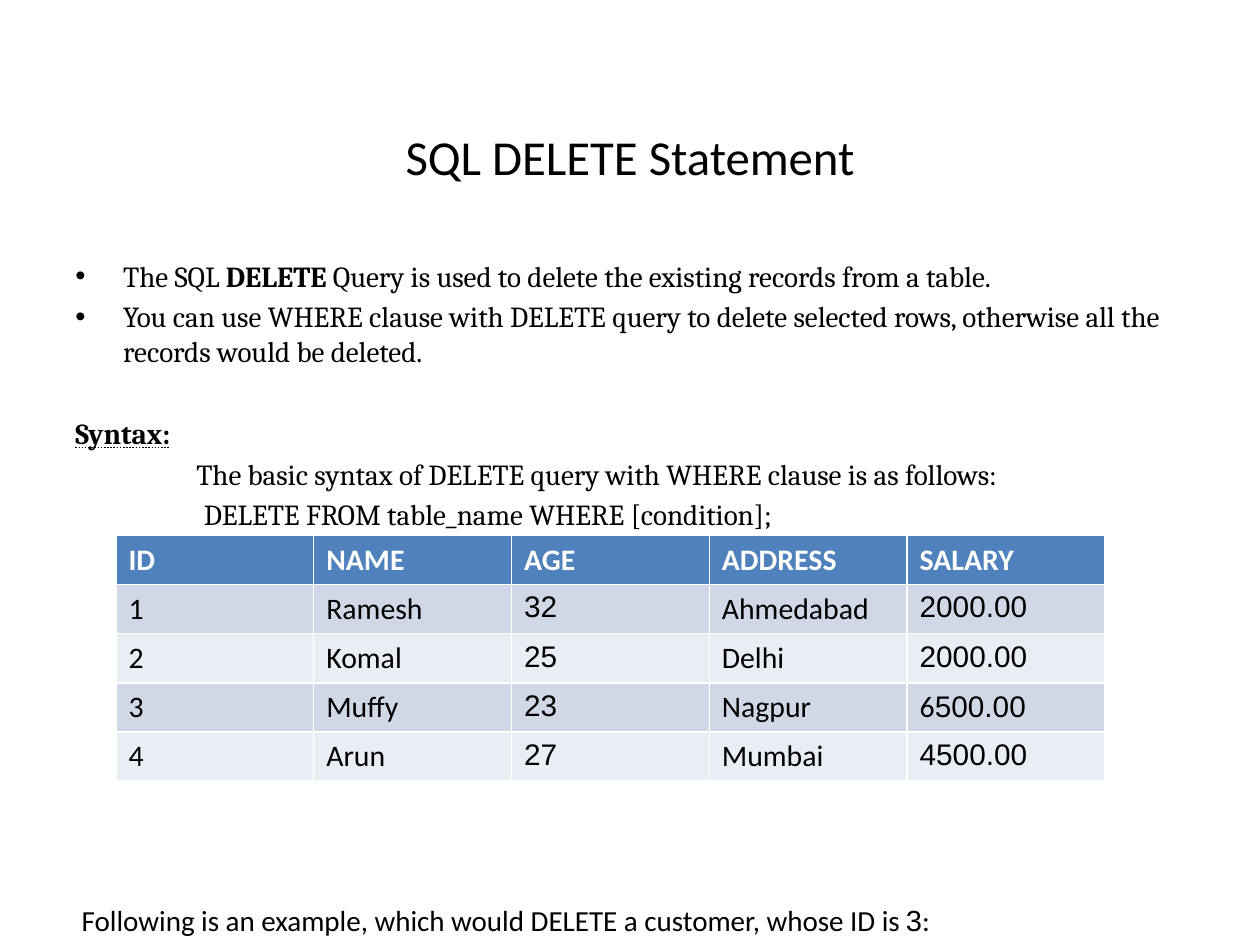
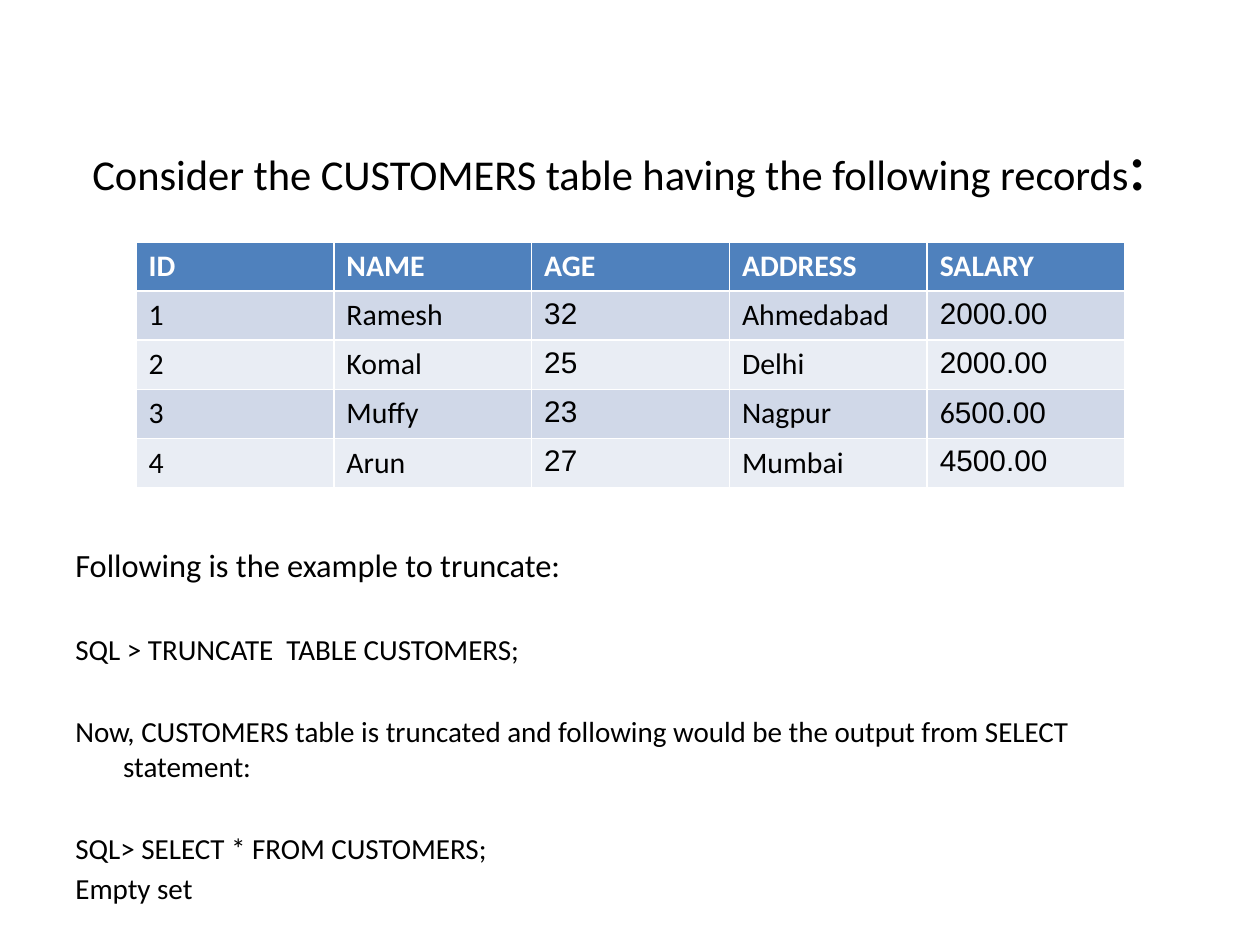
from dataclasses import dataclass, field

from lxml import etree
from pptx import Presentation
from pptx.dml.color import RGBColor
from pptx.enum import text
from pptx.oxml import ns
from pptx.util import Inches, Pt

BLACK = RGBColor(0x00, 0x00, 0x00)
WHITE = RGBColor(0xFF, 0xFF, 0xFF)
HEADER_BLUE = RGBColor(0x4F, 0x81, 0xBD)
ROW_FILLS = (RGBColor(0xD0, 0xD8, 0xE8), RGBColor(0xE9, 0xED, 0xF4))

SANS, SERIF, NUMERIC = "Calibri", "Cambria", "Arial"
TEXT_SIZE, LEAD_SIZE, TABLE_SIZE = 16.6, 18.5, 17
LINE_GAP, BLOCK_GAP, TABLE_GAP = 3.3, 26.9, 212
HANGING = 0.38
COLUMN_WIDTH, ROW_HEIGHT = 1.57, 0.39


@dataclass(frozen=True)
class Run:
    content: str
    font: str = SANS
    size: float = TEXT_SIZE
    style: dict = field(default_factory=dict)


@dataclass(frozen=True)
class Line:
    runs: tuple[Run, ...]
    before: float = LINE_GAP
    margin: float = HANGING
    indent: float = -HANGING
    bullet: bool = False
    alignment: text.PP_ALIGN = text.PP_ALIGN.LEFT


@dataclass(frozen=True)
class Box:
    left: float
    top: float
    width: float
    height: float


CUSTOMER_FIELDS = ("ID", "NAME", "AGE", "ADDRESS", "SALARY")
FIELD_FONTS = (SANS, SANS, NUMERIC, SANS, NUMERIC)
MIXED_SALARY = (Run("6", SANS, TABLE_SIZE), Run("500.00", NUMERIC, TABLE_SIZE))
CUSTOMERS = (
    ("1", "Ramesh", "32", "Ahmedabad", "2000.00"),
    ("2", "Komal", "25", "Delhi", "2000.00"),
    ("3", "Muffy", "23", "Nagpur", MIXED_SALARY),
    ("4", "Arun", "27", "Mumbai", "4500.00"),
)


def serif(content: str, **style) -> Run:
    return Run(content, SERIF, style=style)


def title(*runs: Run) -> Line:
    return Line(runs, margin=0, indent=0, alignment=text.PP_ALIGN.CENTER)


DELETE_LINES = (
    Line((
        serif("The SQL "),
        serif("DELETE", bold=True),
        serif(" Query is used to delete the existing records from a table."),
    ), bullet=True),
    Line((serif("You can use WHERE clause with DELETE query to delete selected rows, "
                "otherwise all the records would be deleted."),), bullet=True),
    Line((serif("Syntax:", bold=True, underline=text.MSO_UNDERLINE.DOTTED_LINE),),
         before=BLOCK_GAP),
    Line((serif("The basic syntax of DELETE query with WHERE clause is as follows:"),),
         margin=0.96, indent=0),
    Line((serif("DELETE FROM table_name WHERE [condition];"),), margin=1.02, indent=0),
    Line((
        Run("Following is an example, which would DELETE a customer, whose ID is "),
        Run("3", NUMERIC),
        Run(":"),
    ), before=TABLE_GAP, margin=0.05, indent=0),
)

TRUNCATE_LINES = (
    Line((Run("Following is the example to truncate:", size=LEAD_SIZE),)),
    Line((Run("SQL > TRUNCATE  TABLE CUSTOMERS;"),), before=BLOCK_GAP),
    Line((Run("Now, CUSTOMERS table is truncated and following would be the output "
              "from SELECT statement:"),), before=BLOCK_GAP),
    Line((Run("SQL> SELECT * FROM CUSTOMERS;"),), before=BLOCK_GAP),
    Line((Run("Empty set"),)),
)


def add_runs(paragraph, runs: tuple[Run, ...], color: RGBColor = BLACK, **shared) -> None:
    for run in runs:
        piece = paragraph.add_run()
        piece.text = run.content
        piece.font.color.rgb = color
        values = {"name": run.font, "size": Pt(run.size), "bold": False}
        for name, value in (values | run.style | shared).items():
            setattr(piece.font, name, value)


def format_line(paragraph, line: Line, first: bool) -> None:
    properties = paragraph._p.get_or_add_pPr()
    properties.set("marL", str(Inches(line.margin)))
    properties.set("indent", str(Inches(line.indent)))
    if line.bullet:
        font = etree.SubElement(properties, ns.qn("a:buFont"))
        font.set("typeface", NUMERIC)
        etree.SubElement(properties, ns.qn("a:buChar")).set("char", "•")
    else:
        etree.SubElement(properties, ns.qn("a:buNone"))
    paragraph.alignment = line.alignment
    paragraph.space_before = Pt(0 if first else line.before)


def add_text(slide, box: Box, lines: tuple[Line, ...],
             anchor: text.MSO_ANCHOR = text.MSO_ANCHOR.TOP) -> None:
    shape = slide.shapes.add_textbox(
        Inches(box.left), Inches(box.top), Inches(box.width), Inches(box.height))
    frame = shape.text_frame
    frame.word_wrap = True
    frame.vertical_anchor = anchor
    for index, line in enumerate(lines):
        paragraph = frame.add_paragraph() if index else frame.paragraphs[0]
        format_line(paragraph, line, index == 0)
        add_runs(paragraph, line.runs)


def fill_cell(cell, runs: tuple[Run, ...], fill: RGBColor, color: RGBColor, bold: bool) -> None:
    cell.fill.solid()
    cell.fill.fore_color.rgb = fill
    add_runs(cell.text_frame.paragraphs[0], runs, color, bold=bold)


def add_customer_table(slide, left: float, top: float) -> None:
    row_count, column_count = len(CUSTOMERS) + 1, len(CUSTOMER_FIELDS)
    table = slide.shapes.add_table(
        row_count, column_count, Inches(left), Inches(top),
        Inches(column_count * COLUMN_WIDTH), Inches(row_count * ROW_HEIGHT)).table
    for column, heading in enumerate(CUSTOMER_FIELDS):
        fill_cell(table.cell(0, column), (Run(heading, size=TABLE_SIZE),),
                  HEADER_BLUE, WHITE, True)
    for row, customer in enumerate(CUSTOMERS):
        for column, (value, font) in enumerate(zip(customer, FIELD_FONTS)):
            runs = (Run(value, font, TABLE_SIZE),) if isinstance(value, str) else value
            fill_cell(table.cell(row + 1, column), runs,
                      ROW_FILLS[row % len(ROW_FILLS)], BLACK, False)


def add_slide(presentation, title_box: Box, heading: Line, body_box: Box,
              body: tuple[Line, ...], table_left: float, table_top: float) -> None:
    slide = presentation.slides.add_slide(presentation.slide_layouts[6])
    add_text(slide, title_box, (heading,), text.MSO_ANCHOR.MIDDLE)
    add_text(slide, body_box, body)
    add_customer_table(slide, table_left, table_top)


def main() -> None:
    presentation = Presentation()
    presentation.slide_width = Inches(10)
    presentation.slide_height = Inches(7.5)
    add_slide(
        presentation,
        Box(0.5, 0.95, 9, 0.58), title(Run("SQL DELETE Statement", size=27.9)),
        Box(0.5, 2, 9, 5.19), DELETE_LINES,
        table_left=0.92, table_top=4.25)
    add_slide(
        presentation,
        Box(0.42, 0.92, 9, 0.75),
        title(Run("Consider the CUSTOMERS table having the following records", size=24.3),
              Run(":", size=39.6)),
        Box(0.5, 4.28, 9, 2.91), TRUNCATE_LINES,
        table_left=1.08, table_top=1.92)
    presentation.save("out.pptx")


if __name__ == "__main__":
    main()
